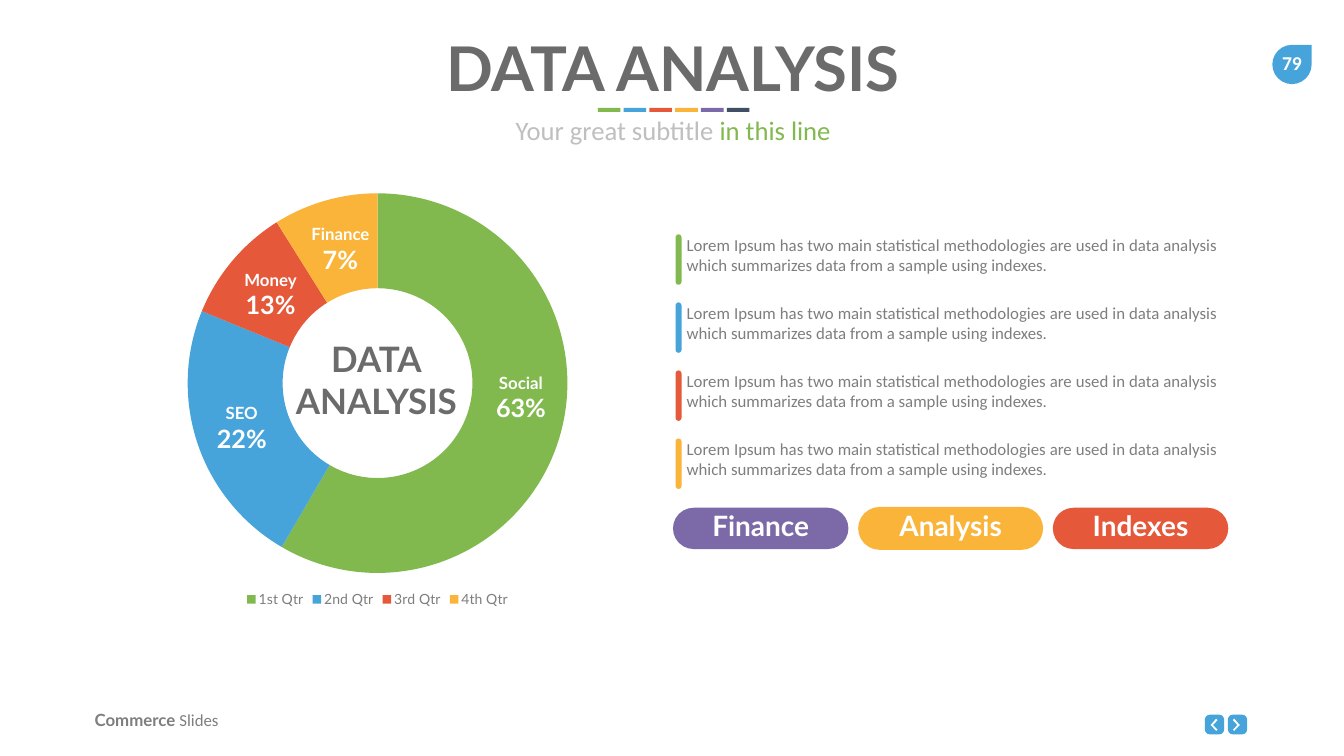
from dataclasses import dataclass

from lxml import etree
from pptx import Presentation
from pptx import util as u
from pptx.chart import data as chart_data
from pptx.dml.color import RGBColor
from pptx.enum import chart as charts, shapes, text
from pptx.oxml import ns

Cm, Pt = u.Cm, u.Pt
SHAPE, ALIGN, ANCHOR = shapes.MSO_SHAPE, text.PP_ALIGN, text.MSO_ANCHOR


@dataclass(frozen=True)
class Theme:
    green: str = "81B94F"
    blue: str = "46A4DB"
    red: str = "E5583A"
    yellow: str = "F9B439"
    purple: str = "7C69A8"
    navy: str = "404F64"
    white: str = "FFFFFF"
    heading: str = "6B6B6B"
    body: str = "7E7E7E"
    pale: str = "BFBFBF"
    title_size: int = 88
    center_size: int = 50
    pill_size: int = 40
    subtitle_size: int = 38
    percent_size: int = 36
    number_size: int = 28
    body_size: int = 24
    legend_size: int = 20
    display: str = "Lato"
    plain: str = "Calibri"


THEME = Theme()
SERIES_COLORS = (THEME.green, THEME.blue, THEME.red, THEME.yellow)


@dataclass(frozen=True)
class Box:
    left: float
    top: float
    width: float
    height: float

    def inner(self, left, top, width, height):
        return Box(self.left + left, self.top + top, width, height)

    def around(self, x, y, width, height):
        return self.inner(x - width / 2, y - height / 2, width, height)

    def lengths(self):
        return Cm(self.left), Cm(self.top), Cm(self.width), Cm(self.height)


def style(font, size, color, name=THEME.display, bold=False):
    font.size, font.name, font.bold = Pt(size), name, bold
    font.color.rgb = RGBColor.from_string(color)


def paint(shape, color):
    shape.shadow.inherit = False
    shape.fill.solid()
    shape.fill.fore_color.rgb = RGBColor.from_string(color)
    shape.line.fill.background()


def add_block(page, kind, box, color, rounding=None):
    block = page.shapes.add_shape(kind, *box.lengths())
    paint(block, color)
    if rounding is not None:
        block.adjustments[0] = rounding
    return block


def prepare_frame(frame, wrap=True, anchor=ANCHOR.MIDDLE):
    frame.word_wrap = wrap
    frame.auto_size = text.MSO_AUTO_SIZE.NONE
    frame.vertical_anchor = anchor
    frame.margin_left = frame.margin_right = 0
    frame.margin_top = frame.margin_bottom = 0


def write_lines(frame, lines, color, name=THEME.display, bold=True, align=ALIGN.CENTER):
    for index, (line, size) in enumerate(lines):
        para = frame.add_paragraph() if index else frame.paragraphs[0]
        para.text, para.alignment = line, align
        style(para.font, size, color, name, bold)


def write_spans(para, spans, size):
    for words, color, name, bold in spans:
        span = para.add_run()
        span.text = words
        style(span.font, size, color, name, bold)


def add_label(page, box, lines, color):
    frame = page.shapes.add_textbox(*box.lengths()).text_frame
    prepare_frame(frame, wrap=False)
    write_lines(frame, lines, color)


def place_placeholder(placeholder, box):
    placeholder.left, placeholder.top, placeholder.width, placeholder.height = box.lengths()
    prepare_frame(placeholder.text_frame)
    return placeholder.text_frame


def add_header(page, box):
    title = place_placeholder(page.shapes.title, box.inner(0, 0, box.width, 4.01))
    write_lines(title, [("DATA ANALYSIS", THEME.title_size)], THEME.heading)

    colors = SERIES_COLORS + (THEME.purple, THEME.navy)
    for index, color in enumerate(colors):
        add_block(page, SHAPE.RECTANGLE, box.inner(25.29 + 1.3 * index, 4.09, 1.14, 0.2), color)

    subtitle = place_placeholder(page.placeholders[1], box.inner(0, 4.24, box.width, 1.88))
    para = subtitle.paragraphs[0]
    para.alignment, para.space_before = ALIGN.CENTER, Pt(0)
    write_spans(para, [("Your great subtitle ", THEME.pale, THEME.plain, False),
                       ("in this line", THEME.green, THEME.plain, False)], THEME.subtitle_size)


def add_page_number(page, box):
    badge = add_block(page, SHAPE.TEAR, box, THEME.blue)
    prepare_frame(badge.text_frame, wrap=False)
    badge.text_frame.margin_bottom = Cm(0.2)
    write_lines(badge.text_frame, [("79", THEME.number_size)], THEME.white, THEME.plain)


def set_plot_layout(chart, x, y, width, height):
    area = chart.element.find(".//" + ns.qn("c:plotArea"))
    for old in area.findall(ns.qn("c:layout")):
        area.remove(old)
    layout = etree.Element(ns.qn("c:layout"))
    manual = etree.SubElement(layout, ns.qn("c:manualLayout"))
    settings = {"layoutTarget": "inner", "xMode": "edge", "yMode": "edge",
                "x": x, "y": y, "w": width, "h": height}
    for tag, value in settings.items():
        etree.SubElement(manual, ns.qn("c:" + tag)).set("val", str(value))
    area.insert(0, layout)


def add_doughnut(page, box):
    data = chart_data.CategoryChartData()
    data.categories = ["1st Qtr", "2nd Qtr", "3rd Qtr", "4th Qtr"]
    data.add_series("Series 1", (59, 23, 10, 9))
    chart = page.shapes.add_chart(charts.XL_CHART_TYPE.DOUGHNUT, *box.lengths(), data).chart
    chart.has_title = False
    chart.has_legend = True
    chart.legend.position = charts.XL_LEGEND_POSITION.BOTTOM
    chart.legend.include_in_layout = False
    style(chart.font, THEME.legend_size, THEME.body)
    style(chart.legend.font, THEME.legend_size, THEME.body)
    plot = chart.plots[0]
    plot.vary_by_categories = True
    plot.has_data_labels = False
    chart.element.find(".//" + ns.qn("c:holeSize")).set("val", "56")
    set_plot_layout(chart, 0.06, 0.01, 0.88, 0.9)
    for index, color in enumerate(SERIES_COLORS):
        slice_format = plot.series[0].points[index].format
        slice_format.fill.solid()
        slice_format.fill.fore_color.rgb = RGBColor.from_string(color)
        slice_format.line.fill.background()

    center_lines = [(word, THEME.center_size) for word in ("DATA", "ANALYSIS")]
    add_label(page, box.around(10.84, 9.62, 8.38, 4.27), center_lines, THEME.heading)
    labels = [("Social", "63%", 18.12, 10.52), ("SEO", "22%", 4.05, 12.05),
              ("Money", "13%", 5.5, 5.32), ("Finance", "7%", 9.02, 3.03)]
    for name, percent, x, y in labels:
        lines = [(name, THEME.body_size), (percent, THEME.percent_size)]
        add_label(page, box.around(x, y, 3.2, 2.82), lines, THEME.white)


def add_notes_list(page, box):
    sentence = ("Lorem Ipsum has two main statistical methodologies are used in data analysis "
                "which summarizes data from a sample using indexes.")
    for index, color in enumerate(SERIES_COLORS):
        row = box.inner(0, 3.43 * index, box.width, 2.67)
        add_block(page, SHAPE.ROUNDED_RECTANGLE, row.inner(0.05, 0.3, 0.3, 2.54), color, 0.5)
        frame = page.shapes.add_textbox(*row.lengths()).text_frame
        prepare_frame(frame, anchor=ANCHOR.TOP)
        frame.margin_left = frame.margin_right = Cm(0.61)
        frame.margin_top = frame.margin_bottom = Cm(0.3)
        write_lines(frame, [(sentence, THEME.body_size)], THEME.body, THEME.plain,
                    False, ALIGN.JUSTIFY)


def add_pills(page, box):
    left = 0
    for name, color, width, height in [("Finance", THEME.purple, 8.84, 2.08),
                                       ("Analysis", THEME.yellow, 9.32, 2.16),
                                       ("Indexes", THEME.red, 8.84, 2.08)]:
        area = box.inner(left, (box.height - height) / 2, width, height)
        pill = add_block(page, SHAPE.ROUNDED_RECTANGLE, area, color, 0.5)
        prepare_frame(pill.text_frame)
        pill.text_frame.margin_bottom = Cm(0.32)
        write_lines(pill.text_frame, [(name, THEME.pill_size)], THEME.white)
        left += width + 0.49


def add_footer(page, box):
    frame = page.shapes.add_textbox(*box.inner(0, 0, 10.16, 1.27).lengths()).text_frame
    prepare_frame(frame)
    frame.margin_left = Cm(0.25)
    write_spans(frame.paragraphs[0], [("Commerce ", THEME.body, THEME.display, True),
                                      ("Slides", THEME.body, THEME.plain, False)], THEME.body_size)

    chevron = [(0.25, 0.27), (0.32, 0.2), (0.6, 0.52), (0.32, 0.81), (0.25, 0.76), (0.48, 0.52)]
    mirrored = [(0.89 - x, y) for x, y in chevron]
    for index, outline in enumerate((mirrored, chevron)):
        button = box.inner(56.19 + 1.16 * index, 0.36, 0.97, 0.99)
        add_block(page, SHAPE.ROUNDED_RECTANGLE, button, THEME.blue, 0.25)
        points = [(Cm(button.left + x), Cm(button.top + y)) for x, y in outline]
        builder = page.shapes.build_freeform(*points[0])
        builder.add_line_segments(points[1:], close=True)
        paint(builder.convert_to_shape(), THEME.white)


def main():
    deck = Presentation()
    deck.slide_width, deck.slide_height = Cm(67.72), Cm(38.1)
    page = deck.slides.add_slide(deck.slide_layouts[0])
    add_header(page, Box(4.83, 1.35, 58.17, 6.12))
    add_page_number(page, Box(64.11, 2.26, 1.98, 1.98))
    add_doughnut(page, Box(8.13, 9.53, 21.79, 21.26))
    add_notes_list(page, Box(33.99, 11.51, 27.94, 12.96))
    add_pills(page, Box(33.91, 25.55, 27.98, 2.16))
    add_footer(page, Box(4.52, 35.66, 58, 1.35))
    deck.save("out.pptx")


if __name__ == "__main__":
    main()
